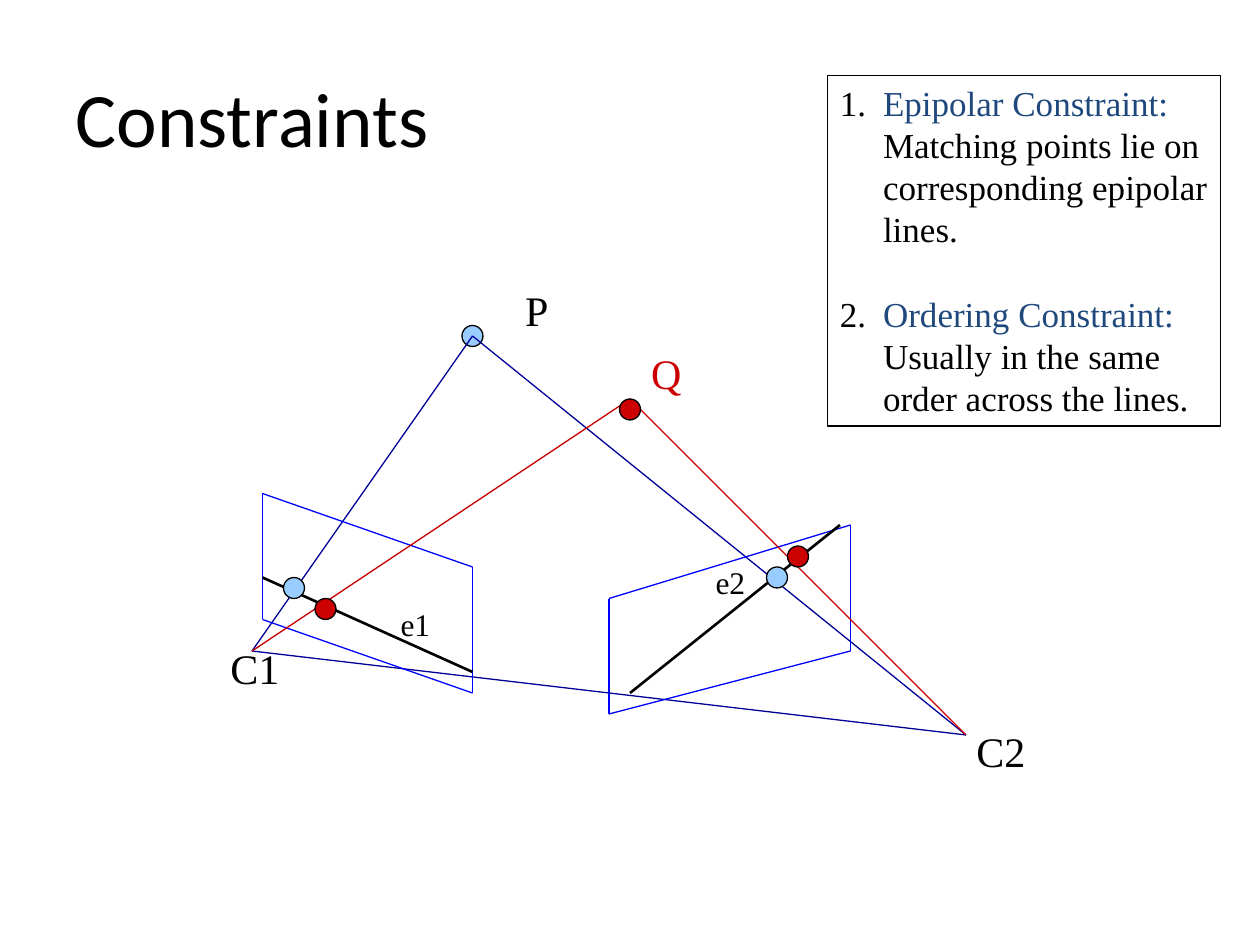
from lxml import etree
from pptx import Presentation, util as u
from pptx.dml.color import RGBColor
from pptx.enum import shapes, text
from pptx.oxml.ns import qn

HUES = {"ink": "000000", "head": "1F497D", "navy": "000099", "blue": "0000FF",
        "red": "CC0000", "sky": "99CCFF"}
SERIF = "Times New Roman"


def hue(name):
    return RGBColor.from_string(HUES[name])


def write(para, words, size=24, face=SERIF, color="ink"):
    run = para.add_run()
    run.text = words
    run.font.size, run.font.name = u.Pt(size), face
    run.font.color.rgb = hue(color)


class Sketch:
    """Draws styled elements on the current slide, with lengths in points."""

    def __init__(self, slide):
        self.slide = slide

    def place(self, shape, box):
        shape.left, shape.top, shape.width, shape.height = map(u.Pt, box)

    def stroke(self, shape, color="ink", width=0.75):
        shape.line.color.rgb = hue(color)
        shape.line.width = u.Pt(width)

    def title(self, words, box):
        shape = self.slide.shapes.title
        self.place(shape, box)
        frame = shape.text_frame
        frame.vertical_anchor = text.MSO_ANCHOR.MIDDLE
        para = frame.paragraphs[0]
        para.alignment = text.PP_ALIGN.LEFT
        write(para, words, size=44, face="Calibri")

    def rules(self, items, box):
        shape = self.slide.placeholders[1]
        self.place(shape, box)
        self.stroke(shape)
        frame = shape.text_frame
        frame.auto_size = text.MSO_AUTO_SIZE.NONE
        frame.word_wrap = True
        frame.margin_right = 0
        for i, (head, body) in enumerate(items):
            para = frame.add_paragraph() if i else frame.paragraphs[0]
            para.line_spacing = u.Pt(24)
            para.space_before = u.Pt(24 if i else 0)
            self.number(para)
            write(para, head, size=20, color="head")
            para.add_line_break()
            write(para, body, size=20)

    def number(self, para):
        props = para._p.get_or_add_pPr()
        props.set("marL", str(u.Pt(24.6)))
        props.set("indent", str(u.Pt(-24.6)))
        tint = etree.SubElement(props, qn("a:buClr"))
        etree.SubElement(tint, qn("a:srgbClr"), val=HUES["ink"])
        etree.SubElement(props, qn("a:buFont"), typeface=SERIF)
        etree.SubElement(props, qn("a:buAutoNum"), type="arabicPeriod")

    def line(self, start, end, color="ink", width=0.75):
        ends = map(u.Pt, (*start, *end))
        shape = self.slide.shapes.add_connector(shapes.MSO_CONNECTOR.STRAIGHT, *ends)
        self.stroke(shape, color, width)
        etree.SubElement(shape._element.spPr, qn("a:effectLst"))

    def loop(self, points, color):
        for start, end in zip(points, points[1:] + points[:1]):
            self.line(start, end, color)

    def dot(self, center, color, size=12):
        x, y = center
        box = map(u.Pt, (x - size / 2, y - size / 2, size, size))
        shape = self.slide.shapes.add_shape(shapes.MSO_SHAPE.OVAL, *box)
        shape.shadow.inherit = False
        shape.fill.solid()
        shape.fill.fore_color.rgb = hue(color)
        self.stroke(shape)

    def label(self, words, box, **style):
        shape = self.slide.shapes.add_textbox(*map(u.Pt, box))
        shape.text_frame.word_wrap = False
        write(shape.text_frame.paragraphs[0], words, **style)


def main():
    deck = Presentation()
    deck.slide_width, deck.slide_height = u.Pt(720), u.Pt(540)
    art = Sketch(deck.slides.add_slide(deck.slide_layouts[1]))

    art.title("Constraints", (36, 21.6, 648, 90))
    art.rules([
        ("Epipolar Constraint:",
         "Matching points lie on corresponding epipolar lines."),
        ("Ordering Constraint:",
         "Usually in the same order across the lines."),
    ], (472.8, 43.2, 224.7, 200.2))

    cam1, cam2, top_p, top_q = (144, 372), (552, 420), (270, 192), (360, 228)
    art.dot(top_p, "sky")
    art.loop([cam1, top_p, cam2], "navy")
    art.loop([(150, 282), (270, 324), (270, 396), (150, 354)], "blue")
    art.loop([(348, 342), (486, 300), (486, 372), (348, 408)], "blue")
    art.line((150, 330), (270, 384), width=1.5)
    art.line((360, 396), (480, 300), width=1.5)
    for cam in (cam1, cam2):
        art.line(cam, top_q, "red")

    for color, spots in {
        "sky": [(168, 336), (444, 330)],
        "red": [(186, 348), (456, 318), (360, 234)],
    }.items():
        for spot in spots:
            art.dot(spot, color)

    art.label("P", (293, 159, 28, 36))
    art.label("Q", (365, 195, 32, 36), color="red")
    art.label("C1", (124.6, 363.6, 42.5, 36))
    art.label("C2", (550.8, 411.2, 42.5, 36))
    art.label("e1", (221.8, 342, 31.7, 28.8), size=18)
    art.label("e2", (401.8, 318, 31.7, 28.8), size=18)

    deck.save("out.pptx")


if __name__ == "__main__":
    main()
